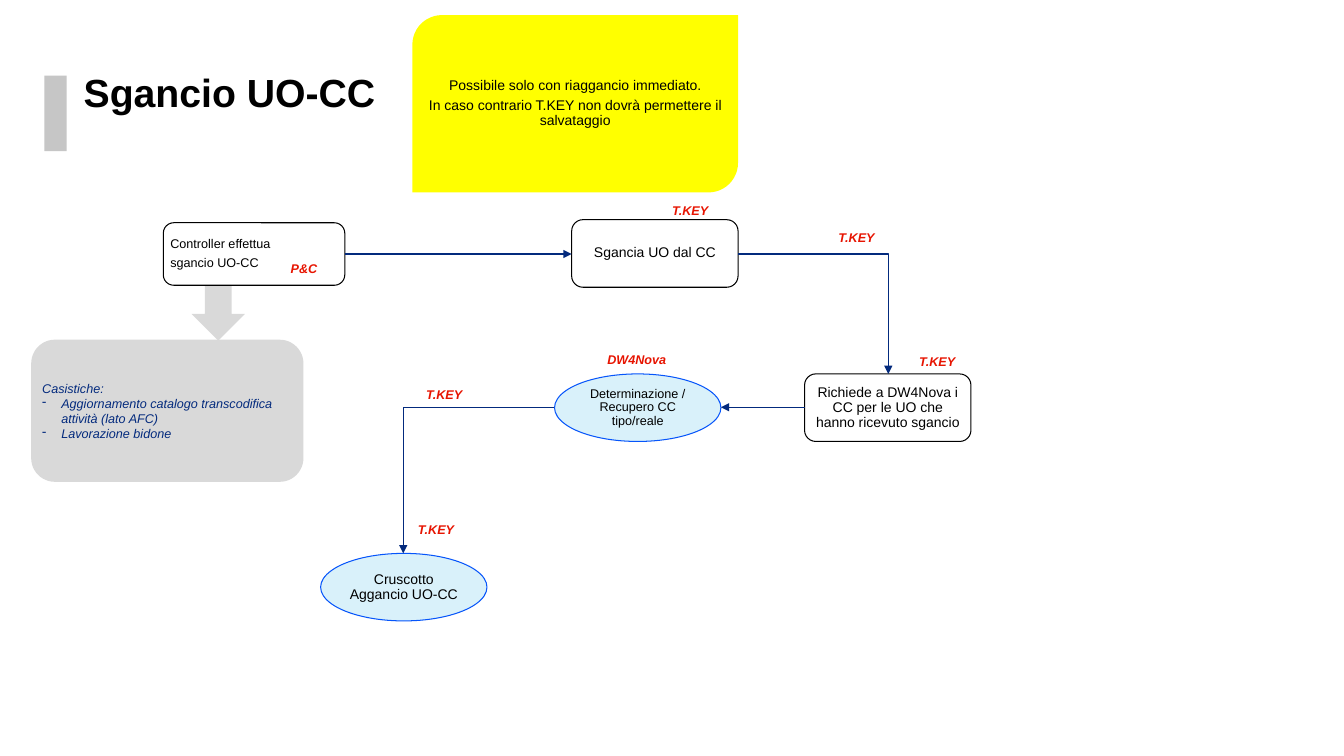
from lxml import etree
from pptx import Presentation
from pptx import util as u
from pptx.dml import color
from pptx.enum import shapes, text
from pptx.oxml import ns

Inches, Pt = u.Inches, u.Pt
KIND = shapes.MSO_SHAPE
CENTER, LEFT = text.PP_ALIGN.CENTER, text.PP_ALIGN.LEFT

COLORS = {
    "black": "000000", "bar": "C6C6C6", "note": "FFFF00", "cases": "D9D9D9",
    "system": "D9F1FA", "outline": "0655FA", "navy": "032A7D", "red": "E71401",
}
BODY = {"line_spacing": 0.9, "space_after": Pt(3.5)}
TAG_FONT = {"size": Pt(9), "bold": True, "italic": True}
BOX_W, BOX_H = 1.65, 0.67


def rgb(name):
    return color.RGBColor.from_string(COLORS[name])


def apply(target, values):
    for key, value in values.items():
        setattr(target, key, value)


def sub(parent, tag, **attributes):
    return etree.SubElement(parent, ns.qn(tag), attributes)


def write(frame, lines, font, ink="black", paragraph_format=BODY,
          align=CENTER, dashed=()):
    """Fill a text frame; dashed holds the indexes of bulleted lines."""
    for i, line in enumerate(lines):
        paragraph = frame.paragraphs[0] if i == 0 else frame.add_paragraph()
        apply(paragraph, {"alignment": align, **paragraph_format})
        if i in dashed:
            properties = paragraph._p.get_or_add_pPr()
            indent = Inches(0.19)
            properties.set("marL", str(indent))
            properties.set("indent", str(-indent))
            sub(properties, "a:buChar", char="-")
        run = paragraph.add_run()
        run.text = line
        apply(run.font, {"name": "Arial", **font})
        run.font.color.rgb = rgb(ink)


def add_block(slide, kind, left, top, width, height, fill=None, line=None):
    block = slide.shapes.add_shape(
        kind, Inches(left), Inches(top), Inches(width), Inches(height))
    block.shadow.inherit = False
    if fill:
        block.fill.solid()
        block.fill.fore_color.rgb = rgb(fill)
    else:
        block.fill.background()
    if line:
        block.line.color.rgb = rgb(line)
        block.line.width = Pt(0.75)
    else:
        block.line.fill.background()
    inset = Inches(0.04)
    apply(block.text_frame, {
        "margin_left": inset, "margin_right": inset, "margin_top": inset,
        "margin_bottom": inset, "word_wrap": True,
        "vertical_anchor": text.MSO_ANCHOR.MIDDLE})
    return block


def add_step(slide, left, top, lines, size=10, width=BOX_W, height=BOX_H,
             align=CENTER):
    step = add_block(slide, KIND.ROUNDED_RECTANGLE, left, top, width, height,
                     line="black")
    write(step.text_frame, lines, {"size": Pt(size)}, align=align)


def add_system(slide, left, top, caption, size):
    system = add_block(slide, KIND.OVAL, left, top, BOX_W, BOX_H,
                       "system", "outline")
    write(system.text_frame, [caption], {"size": Pt(size)})


def add_tag(slide, left, top, caption, width=0.63):
    tag = slide.shapes.add_textbox(
        Inches(left), Inches(top), Inches(width), Inches(0.24))
    apply(tag.text_frame, {"word_wrap": False,
                           "auto_size": text.MSO_AUTO_SIZE.SHAPE_TO_FIT_TEXT})
    write(tag.text_frame, [caption], TAG_FONT, "red")


def add_arrow(slide, start, end):
    """Straight arrow, or one right-angle bend when both axes change."""
    bent = start[0] != end[0] and start[1] != end[1]
    kind = shapes.MSO_CONNECTOR.ELBOW if bent else shapes.MSO_CONNECTOR.STRAIGHT
    arrow = slide.shapes.add_connector(
        kind, *(Inches(value) for value in start + end))
    arrow.line.color.rgb = rgb("navy")
    arrow.line.width = Pt(1)
    properties = arrow._element.spPr
    if bent:
        properties.find(ns.qn("a:prstGeom")).set("prst", "bentConnector2")
    sub(arrow.line._get_or_add_ln(), "a:tailEnd", type="triangle")
    sub(properties, "a:effectLst")


def add_title(slide, caption):
    add_block(slide, KIND.RECTANGLE, 0.44, 0.75, 0.22, 0.75, "bar")
    title = slide.shapes.title
    apply(title, {"left": Inches(0.83), "top": Inches(0.73),
                  "width": Inches(9.16), "height": Inches(0.43)})
    apply(title.text_frame, {
        "margin_left": 0, "margin_right": 0, "margin_top": 0,
        "margin_bottom": 0, "vertical_anchor": text.MSO_ANCHOR.TOP,
        "auto_size": text.MSO_AUTO_SIZE.NONE})
    write(title.text_frame, [caption], {"size": Pt(28), "bold": True},
          paragraph_format={"line_spacing": 0.9}, align=LEFT)


def main():
    deck = Presentation()
    deck.slide_width, deck.slide_height = Inches(13.33), Inches(7.5)
    slide = deck.slides.add_slide(deck.slide_layouts[5])
    add_title(slide, "Sgancio UO-CC")

    # Process steps
    add_step(slide, 1.62, 2.21, ["Controller effettua", "sgancio UO-CC"],
             size=9, width=1.8, height=0.62, align=LEFT)
    add_step(slide, 5.67, 2.18, ["Sgancia UO dal CC"])
    add_step(slide, 7.98, 3.71,
             ["Richiede a DW4Nova i CC per le UO che hanno ricevuto sgancio"])
    add_system(slide, 5.5, 3.71, "Determinazione / Recupero CC tipo/reale", 9)
    add_system(slide, 3.18, 5.49, "Cruscotto Aggancio UO-CC", 10)

    # Flow arrows
    for start, end in [((3.42, 2.52), (5.67, 2.52)),
                       ((7.32, 2.52), (8.81, 3.71)),
                       ((7.98, 4.04), (7.15, 4.04)),
                       ((5.5, 4.04), (4, 5.49))]:
        add_arrow(slide, start, end)

    # Owner tags
    add_tag(slide, 2.78, 2.56, "P&C", 0.47)
    add_tag(slide, 5.92, 3.46, "DW4Nova", 0.79)
    for left, top in [(6.53, 1.98), (8.18, 2.25), (8.98, 3.48),
                      (4.09, 3.81), (4.01, 5.15)]:
        add_tag(slide, left, top, "T.KEY")

    # Cases behind the request
    cases = add_block(slide, KIND.ROUNDED_RECTANGLE, 0.31, 3.37, 2.7, 1.41,
                      "cases")
    write(cases.text_frame,
          ["Casistiche:",
           "Aggiornamento catalogo transcodifica attività (lato AFC)",
           "Lavorazione bidone"],
          {"size": Pt(9), "italic": True}, "navy", {}, LEFT, dashed=(1, 2))
    add_block(slide, KIND.DOWN_ARROW, 1.9, 2.84, 0.53, 0.54, "cases")

    # Warning note
    note = add_block(slide, KIND.ROUND_2_DIAG_RECTANGLE, 4.09, 0.15, 3.23,
                     1.76, "note")
    write(note.text_frame,
          ["Possibile solo con riaggancio immediato.",
           "In caso contrario T.KEY non dovrà permettere il salvataggio"],
          {"size": Pt(10)})

    deck.save("out.pptx")


if __name__ == "__main__":
    main()
